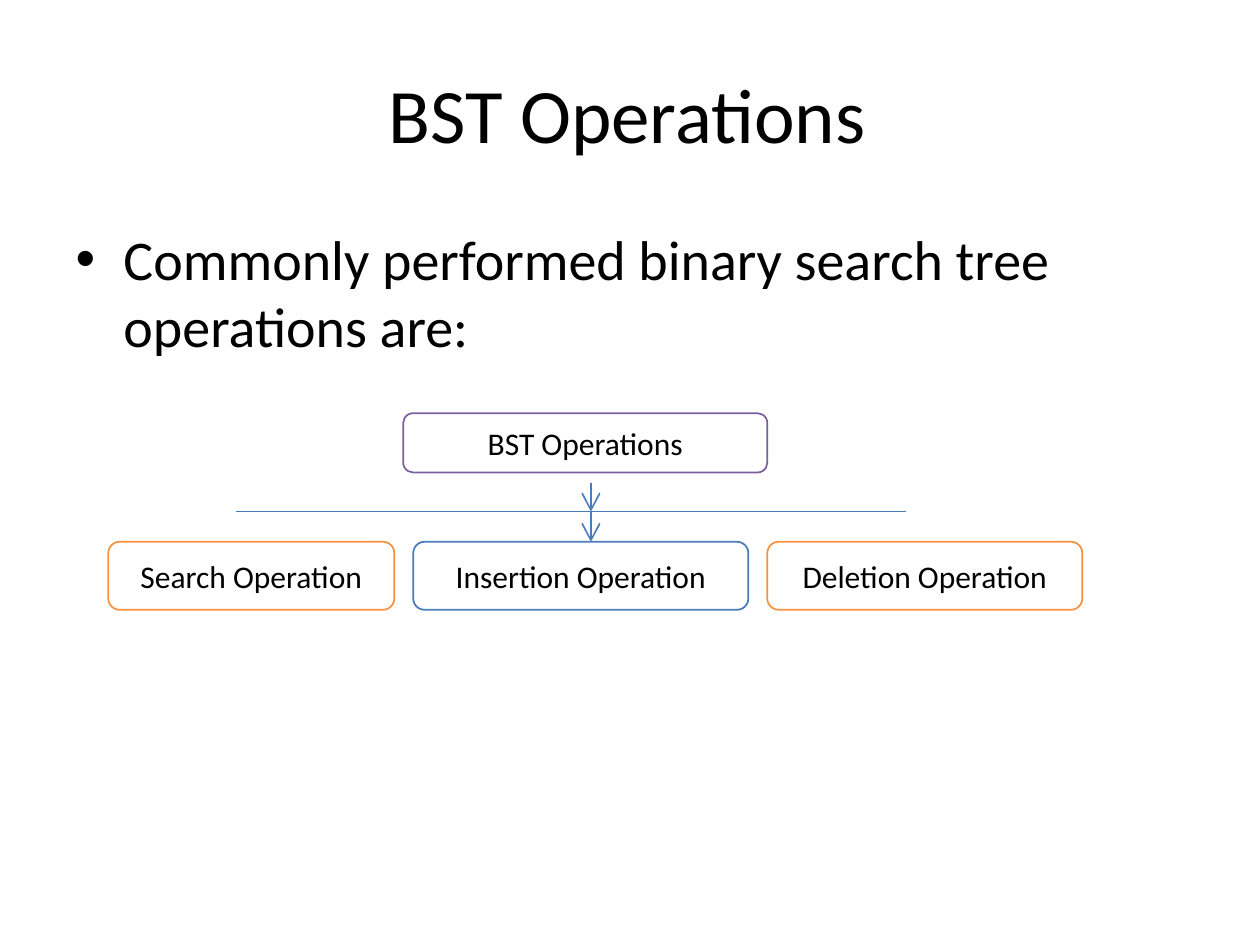
from lxml.etree import SubElement
from pptx import Presentation
from pptx.dml.color import RGBColor
from pptx.enum.shapes import MSO_CONNECTOR, MSO_SHAPE
from pptx.enum.text import MSO_ANCHOR, PP_ALIGN
from pptx.oxml.ns import qn
from pptx.util import Inches, Pt

COLORS = {"text": "000000", "purple": "7C5F9F", "blue": "497DBA", "orange": "F69240"}
FONT = "Calibri"

TITLE = "BST Operations"
INTRO = "Commonly performed binary search tree operations are:"
ROOT = ("BST Operations", 3.2, 2.89, "purple")
OPERATIONS = [  # label, left, width, outline
    ("Search Operation", 0.86, 2.27, "orange"),
    ("Insertion Operation", 3.28, 2.66, "blue"),
    ("Deletion Operation", 6.09, 2.5, "orange"),
]
ROOT_TOP, ROOT_H = 3.28, 0.47
ROW_TOP, ROW_H = 4.3, 0.54
BAR_LEFT, BAR_RIGHT, BAR_Y = 1.87, 7.19, 4.06
ARROW_X, ARROW_TOP = 4.69, 3.83
CORNER = 1 / 6


def rgb(name):
    return RGBColor.from_string(COLORS[name])


def set_text(sp, text, size, align=PP_ALIGN.LEFT, top=0):
    tf = sp.text_frame
    tf.word_wrap = True
    tf.margin_left = tf.margin_right = tf.margin_bottom = 0
    tf.margin_top = Inches(top)
    p = tf.paragraphs[0]
    p.text = text
    p.alignment = align
    font = p.runs[0].font
    font.name, font.size = FONT, Pt(size)
    font.color.rgb = rgb("text")
    return p


def add_text(s, box, text, size, **layout):
    sp = s.shapes.add_textbox(*map(Inches, box))
    return set_text(sp, text, size, **layout)


def set_bullet(p, indent, hanging):
    pPr = p._p.get_or_add_pPr()
    pPr.set("marL", str(Inches(indent)))
    pPr.set("indent", str(-Inches(hanging)))
    SubElement(pPr, qn("a:buFont"), typeface="Arial")
    SubElement(pPr, qn("a:buChar"), char="•")


def add_box(s, label, left, width, color, top, height):
    sp = s.shapes.add_shape(MSO_SHAPE.ROUNDED_RECTANGLE,
                            *map(Inches, (left, top, width, height)))
    sp.shadow.inherit = False
    sp.adjustments[0] = CORNER
    sp.fill.background()
    sp.line.color.rgb = rgb(color)
    sp.line.width = Pt(1)
    set_text(sp, label, 18, PP_ALIGN.CENTER)
    sp.text_frame.vertical_anchor = MSO_ANCHOR.MIDDLE


def add_line(s, x1, y1, x2, y2, arrow=False):
    line = s.shapes.add_connector(MSO_CONNECTOR.STRAIGHT,
                                  *map(Inches, (x1, y1, x2, y2)))
    line.line.color.rgb = rgb("blue")
    line.line.width = Pt(1)
    if arrow:
        SubElement(line.line._get_or_add_ln(), qn("a:tailEnd"),
                   type="arrow", w="lg", len="lg")
    SubElement(line._element.spPr, qn("a:effectLst"))


def main():
    prs = Presentation()
    prs.slide_width, prs.slide_height = Inches(10), Inches(7.5)
    s = prs.slides.add_slide(prs.slide_layouts[6])

    add_text(s, (0.68, 0.21, 8.6, 1.36), TITLE, 44, align=PP_ALIGN.CENTER, top=0.32)
    intro = add_text(s, (0.59, 1.76, 7.76, 1.1), INTRO, 32, top=0.02)
    set_bullet(intro, 0.39, 0.38)

    add_box(s, *ROOT, ROOT_TOP, ROOT_H)
    for operation in OPERATIONS:
        add_box(s, *operation, ROW_TOP, ROW_H)

    add_line(s, BAR_LEFT, BAR_Y, BAR_RIGHT, BAR_Y)
    for start, end in ((ARROW_TOP, BAR_Y), (BAR_Y, ROW_TOP)):
        add_line(s, ARROW_X, start, ARROW_X, end, arrow=True)

    prs.save("out.pptx")


if __name__ == "__main__":
    main()
